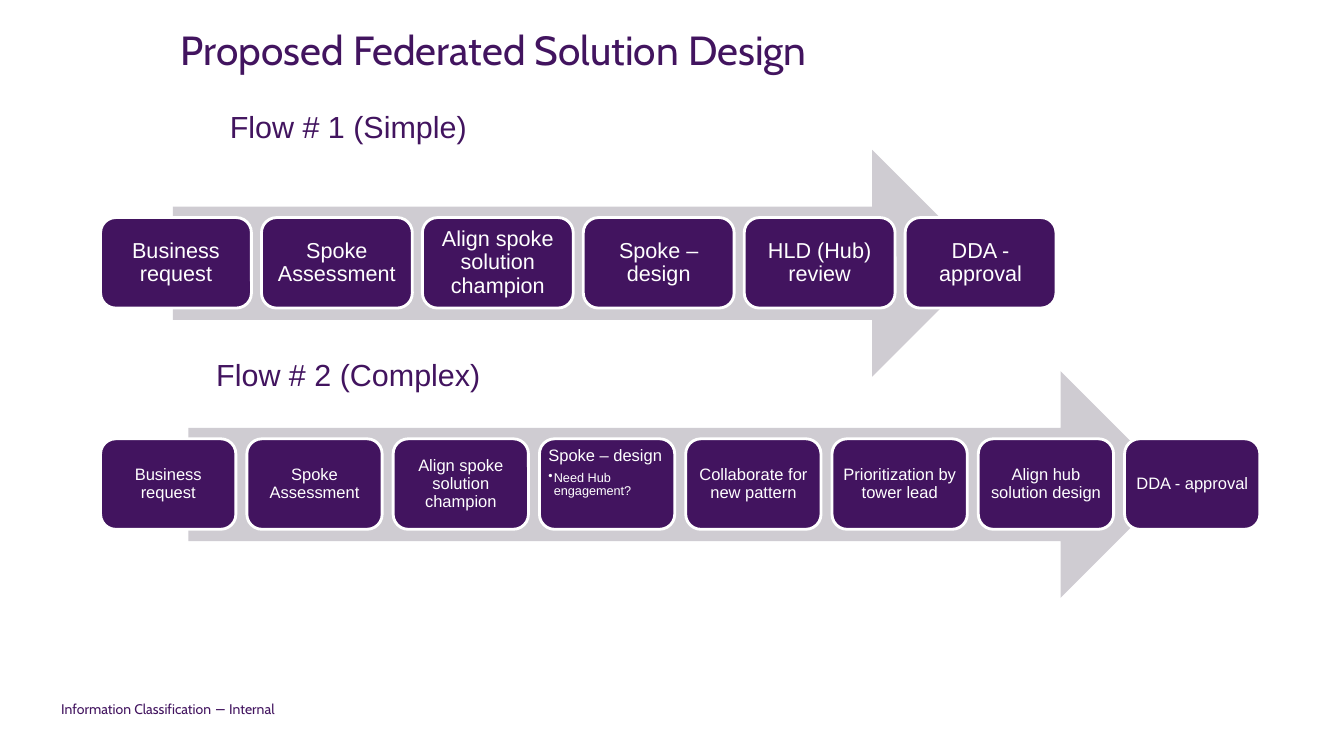
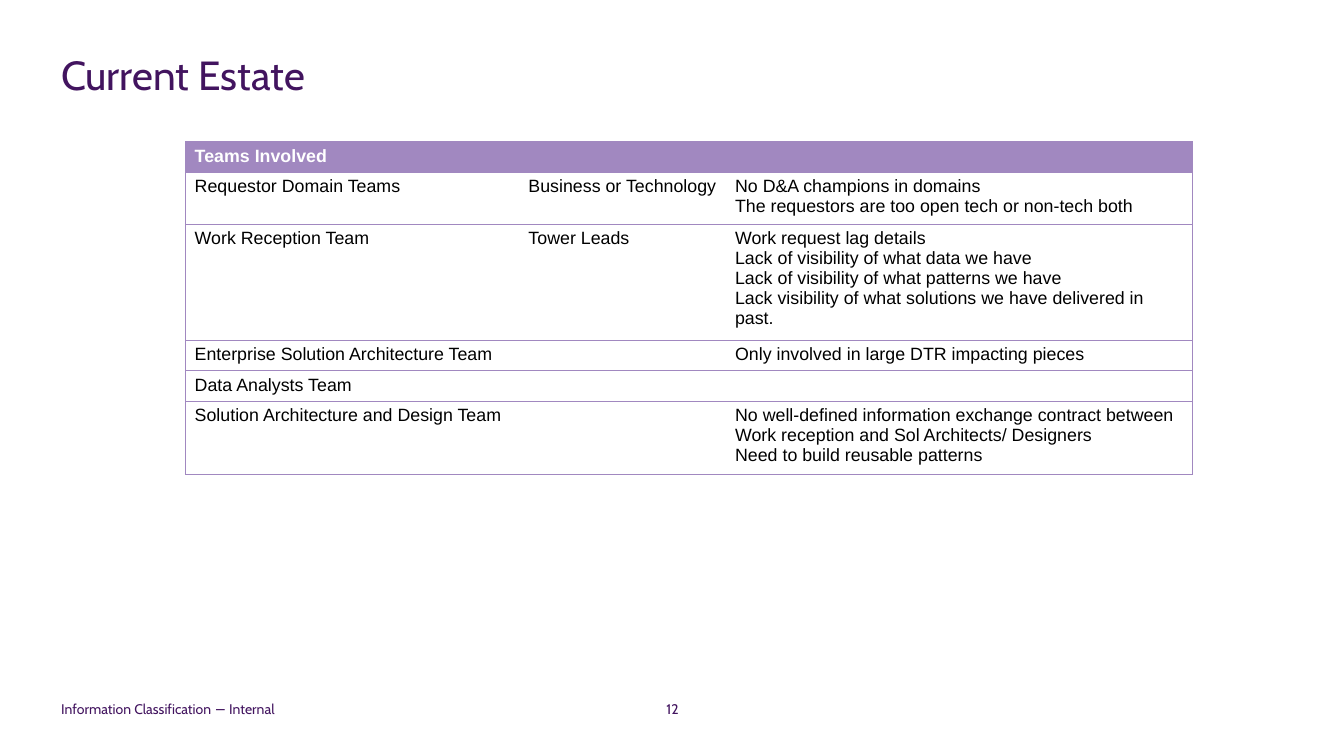
from lxml import etree
from pptx import Presentation
from pptx.dml.color import RGBColor as RGB
from pptx.enum.shapes import MSO_SHAPE as SHP
from pptx.enum.text import MSO_ANCHOR as ANC, PP_ALIGN as AL
from pptx.oxml.ns import qn
from pptx.util import Inches, Pt

COLORS = {"purple": "42145F", "lilac": "A188C0", "grey": "CFCCD2",
          "white": "FFFFFF", "black": "000000"}
BODY, HEAD = "Arial", "Cabin"
NO_GRID = "{2D5ABB26-0587-4C30-8999-92F81FD0307C}"


class Deck:
    """Holds the shared style and the current slide."""

    def __init__(self, width, height):
        self.prs = Presentation()
        self.prs.slide_width = Inches(width)
        self.prs.slide_height = Inches(height)
        self.s = None

    def new_slide(self, title, x, y, number=None):
        self.s = self.prs.slides.add_slide(self.prs.slide_layouts[6])
        self.text(title, x, y, 9.37, 1.01, 32, HEAD)
        self.text("Information Classification − Internal",
                  0.67, 7.6, 3.43, 0.3, 11, HEAD, anchor=ANC.MIDDLE)
        if number:
            self.text(number, 6.95, 7.6, 0.81, 0.3, 11, HEAD, AL.CENTER, ANC.MIDDLE)

    def add_text(self, p, text, size, font=BODY, color="purple", bold=False, **para):
        r = p.add_run()
        r.text = text
        r.font.color.rgb = RGB.from_string(COLORS[color])
        for key, val in {"size": Pt(size), "name": font, "bold": bold}.items():
            setattr(r.font, key, val)
        for key, val in para.items():
            setattr(p, key, val)

    def frame(self, tf, inset, anchor):
        fmt = {"word_wrap": True, "vertical_anchor": anchor}
        for side in ("left", "right", "top", "bottom"):
            fmt[f"margin_{side}"] = Inches(inset)
        for key, val in fmt.items():
            setattr(tf, key, val)

    def text(self, text, x, y, w, h, size, font=BODY, align=AL.LEFT, anchor=ANC.TOP):
        tf = self.s.shapes.add_textbox(
            Inches(x), Inches(y), Inches(w), Inches(h)).text_frame
        self.frame(tf, 0, anchor)
        self.add_text(tf.paragraphs[0], text, size, font, alignment=align)

    def shape(self, kind, x, y, w, h, fill, line=None):
        sp = self.s.shapes.add_shape(kind, Inches(x), Inches(y), Inches(w), Inches(h))
        sp.shadow.inherit = False
        sp.fill.solid()
        sp.fill.fore_color.rgb = RGB.from_string(COLORS[fill])
        if line:
            sp.line.color.rgb = RGB.from_string(COLORS[line])
            sp.line.width = Pt(2.25)
        else:
            sp.line.fill.background()
        return sp

    def step(self, text, x, y, w, size, inset, note=None):
        tf = self.shape(SHP.ROUNDED_RECTANGLE, x, y, w, 0.99, "purple", "white").text_frame
        self.frame(tf, inset, ANC.TOP if note else ANC.MIDDLE)
        para = {"alignment": AL.LEFT if note else AL.CENTER, "line_spacing": 0.9}
        p = tf.paragraphs[0]
        self.add_text(p, text, size, color="white", **para)
        if note:
            p.space_after = Pt(4.5)
            p = tf.add_paragraph()
            self.add_text(p, note, 10, color="white", **para)
            pPr = p._p.get_or_add_pPr()
            pPr.set("marL", str(Inches(0.06)))
            pPr.set("indent", str(-Inches(0.06)))
            etree.SubElement(pPr, qn("a:buChar")).set("char", "•")

    def flow(self, title, title_y, arrow, steps, w, pitch, size, inset):
        """Steps at an equal pitch on top of a wide arrow."""
        x, y, length = arrow
        self.shape(SHP.RIGHT_ARROW, x, y, length, 2.48, "grey")
        for i, (text, *note) in enumerate(steps):
            self.step(text, 1.1 + i * pitch, y + 0.74, w, size, inset, *note)
        self.text(title, 1.98, title_y, 3.66, 0.4, 24, align=AL.CENTER)

    def border(self, cell, sides):
        tcPr = cell._tc.get_or_add_tcPr()
        for side in sides:
            ln = etree.SubElement(tcPr, qn(f"a:ln{side}"), w=str(Pt(0.75)))
            fill = etree.SubElement(ln, qn("a:solidFill"))
            etree.SubElement(fill, qn("a:srgbClr"), val=COLORS["lilac"])

    def table(self, x, y, widths, heights, rows):
        table = self.s.shapes.add_table(
            len(rows), len(widths), Inches(x), Inches(y),
            Inches(sum(widths)), Inches(sum(heights))).table
        table.horz_banding = False
        table._tbl.tblPr.find(qn("a:tableStyleId")).text = NO_GRID
        for col, w in zip(table.columns, widths):
            col.width = Inches(w)
        for i, (row, h) in enumerate(zip(rows, heights)):
            table.rows[i].height = Inches(h)
            for j, lines in enumerate(row):
                cell = table.cell(i, j)
                # Outer frame and row rules only
                left = "L" if j == 0 else ""
                right = "R" if j == len(widths) - 1 else ""
                self.border(cell, left + right + "TB")
                cell.fill.solid()
                cell.fill.fore_color.rgb = RGB.from_string(
                    COLORS["white" if i else "lilac"])
                tf = cell.text_frame
                for k, line in enumerate(lines):
                    p = tf.add_paragraph() if k else tf.paragraphs[0]
                    self.add_text(p, line, 14, color="black" if i else "white",
                                  bold=i == 0)
                if not lines:
                    end = etree.SubElement(tf.paragraphs[0]._p, qn("a:endParaRPr"))
                    end.set("sz", "1400")


def main():
    deck = Deck(14.7, 8.27)

    # Solution design: two flows
    deck.new_slide("Proposed Federated Solution Design", 1.98, 0.27)
    start = [("Business request",), ("Spoke Assessment",),
             ("Align spoke solution champion",)]
    end = [("DDA - approval",)]
    simple = start + [("Spoke – design",), ("HLD (Hub) review",)] + end
    hub_steps = start + [
        ("Spoke – design", "Need Hub engagement?"),
        ("Collaborate for new pattern",), ("Prioritization by tower lead",),
        ("Align hub solution design",)] + end
    deck.flow("Flow # 1 (Simple)", 1.18, (1.89, 1.64, 8.89), simple,
              w=1.65, pitch=1.76, size=17, inset=0.07)
    deck.flow("Flow # 2 (Complex)", 3.9, (2.06, 4.06, 10.78), hub_steps,
              w=1.48, pitch=1.6, size=13, inset=0.05)

    # Current estate: table of teams
    deck.new_slide("Current Estate", 0.67, 0.54, "12")
    deck.table(2.03, 1.55, [3.65, 2.26, 5.1], [0.32, 0.55, 1.19, 0.32, 0.32, 0.76], [
        [["Teams Involved"], [], []],
        [["Requestor Domain Teams"], ["Business or Technology"],
         ["No D&A champions in domains",
          "The requestors are too open tech or non-tech both"]],
        [["Work Reception Team"], ["Tower Leads"],
         ["Work request lag details",
          "Lack of visibility of what data we have",
          "Lack of visibility of what patterns we have",
          "Lack visibility of what solutions we have delivered in past."]],
        [["Enterprise Solution Architecture Team"], [],
         ["Only involved in large DTR impacting pieces"]],
        [["Data Analysts Team"], [], []],
        [["Solution Architecture and Design Team"], [],
         ["No well-defined information exchange contract between "
          "Work reception and Sol Architects/ Designers",
          "Need to build reusable patterns"]],
    ])

    deck.prs.save("out.pptx")


if __name__ == "__main__":
    main()
